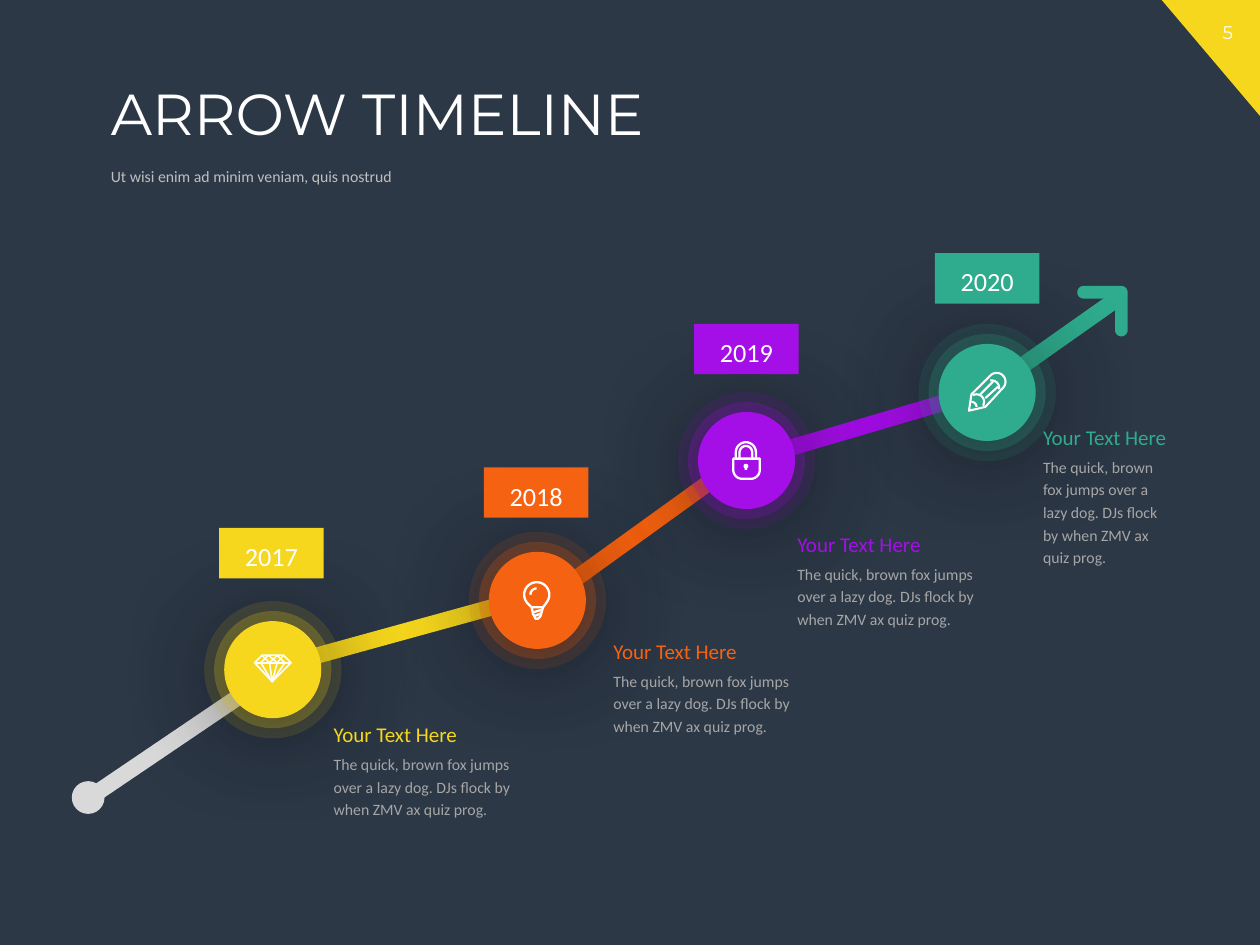
"""Build the arrow timeline slide."""
from math import cos, radians, sin

from lxml import etree
from pptx import Presentation
from pptx.dml.color import RGBColor
from pptx.enum import shapes, text
from pptx.oxml.ns import qn
from pptx.util import Inches, Pt

COLORS = {"bg": "2D3847", "yellow": "F6D71E", "orange": "F56211", "purple": "A40FE7",
          "green": "2FAB8D", "light": "D9D9D9", "white": "FFFFFF",
          "subtitle": "BFBFBF", "body": "A6A6A6", "shadow": "000000"}
SHAPE = shapes.MSO_SHAPE


def write(tf, words, size, color, font="Calibri", align="LEFT", spacing=1.2, anchor="TOP"):
    tf.word_wrap = True
    tf.auto_size = text.MSO_AUTO_SIZE.NONE
    tf.vertical_anchor = getattr(text.MSO_ANCHOR, anchor)
    p = tf.paragraphs[0]
    p.alignment = getattr(text.PP_ALIGN, align)
    p.line_spacing = spacing
    p.space_before = Pt(0)
    r = p.add_run()
    r.text = words
    r.font.name = font
    r.font.size = Pt(size)
    r.font.color.rgb = RGBColor.from_string(COLORS[color])


def paint(sp, color, alpha=None, blur=None):
    sp.shadow.inherit = False
    sp.fill.solid()
    sp.fill.fore_color.rgb = RGBColor.from_string(COLORS[color])
    sp.line.fill.background()
    props = sp._element.spPr
    if alpha:
        tint = props.find(qn("a:solidFill"))[0]
        etree.SubElement(tint, qn("a:alpha"), val=str(alpha * 1000))
    if blur:
        shade = etree.SubElement(props.find(qn("a:effectLst")), qn("a:outerShdw"),
                                 blurRad=str(Pt(blur)), dist=str(Pt(4)), dir="5400000",
                                 algn="t", rotWithShape="0")
        tint = etree.SubElement(shade, qn("a:srgbClr"), val=COLORS["shadow"])
        etree.SubElement(tint, qn("a:alpha"), val="43000")


prs = Presentation()
prs.slide_width, prs.slide_height = Inches(10), Inches(7.5)
s = prs.slides.add_slide(prs.slide_layouts[0])
s.background.fill.solid()
s.background.fill.fore_color.rgb = RGBColor.from_string(COLORS["bg"])

sp = s.shapes.add_shape(SHAPE.RIGHT_TRIANGLE, Inches(9.22), 0, Inches(0.78), Inches(0.92))
sp.rotation = 180
paint(sp, "yellow")
sp = s.shapes.add_textbox(Inches(9.49), Inches(0.12), Inches(0.51), Inches(0.28))
write(sp.text_frame, "5", 10.5, "white", font="Montserrat", align="CENTER", spacing=1)

title, subtitle = s.placeholders
title.left, title.top, title.width, title.height = map(Inches, (0.78, 0.63, 8.86, 0.73))
write(title.text_frame, "ARROW TIMELINE", 33, "white", font="Montserrat", spacing=0.9)
subtitle.left, subtitle.top, subtitle.width, subtitle.height = map(
    Inches, (0.78, 1.28, 7.21, 0.26))
write(subtitle.text_frame, "Ut wisi enim ad minim veniam, quis nostrud", 9, "subtitle",
      spacing=0.9, anchor="MIDDLE")

segments = [
    (5.82, 3.37, 1.72, 343.6, "purple"),
    (4.22, 4.16, 1.72, 324.2, "orange"),
    (2.34, 4.95, 1.72, 344.6, "yellow"),
    (0.6, 5.76, 1.72, 325.9, "light"),
    (7.56, 2.71, 1.47, 324.8, "green"),
]
for left, top, width, angle, color in segments:
    sp = s.shapes.add_shape(SHAPE.RECTANGLE, Inches(left), Inches(top),
                            Inches(width), Inches(0.13))
    sp.rotation = angle
    paint(sp, color)
sp = s.shapes.add_shape(SHAPE.OVAL, Inches(0.57), Inches(6.2), Inches(0.26), Inches(0.26))
paint(sp, "light")

milestones = [
    ("2020", "green", (7.29, 2.57), (7.42, 2.01), (8.18, 3.28), (1.24, 1.24), 1.01),
    ("2018", "orange", (3.72, 4.22), (3.84, 3.71), (4.77, 4.98), (1.59, 1.74), 0.65),
    ("2017", "yellow", (1.62, 4.77), (1.74, 4.19), (2.55, 5.64), (1.59, 1.74), 0.65),
    ("2019", "purple", (5.38, 3.11), (5.51, 2.57), (6.23, 4.13), (1.59, 1.74), 0.65),
]
for year, color, (x, y), tag, (left, top), widths, height in milestones:
    group = s.shapes.add_group_shape()
    for inset, alpha, blur in [(0, 13, 49), (0.08, 25, 49), (0.16, None, 64)]:
        size = Inches(1.09 - 2 * inset)
        sp = group.shapes.add_shape(SHAPE.OVAL, Inches(x + inset), Inches(y + inset), size, size)
        paint(sp, color, alpha, blur)
    sp = s.shapes.add_textbox(Inches(left), Inches(top), Inches(widths[0]), Inches(0.33))
    write(sp.text_frame, "Your Text Here", 12, color)
    sp = s.shapes.add_textbox(Inches(left), Inches(top + 0.27), Inches(widths[1]), Inches(height))
    write(sp.text_frame, "The quick, brown fox jumps over a lazy dog. "
          "DJs flock by when ZMV ax quiz prog.", 9, "body")
    sp = s.shapes.add_shape(SHAPE.RECTANGLE, *map(Inches, (*tag, 0.83, 0.4)))
    paint(sp, color)
    write(sp.text_frame, year, 15, "white", align="CENTER")

arrowhead = [[(8.6, 2.32, 0.05, 90, 270), (8.9, 2.32, 0.05, 270, 360),
              (8.9, 2.62, 0.05, 0, 180), (8.85, 2.37), (8.6, 2.37)]]
pencil = [
    [(7.69, 3.26), (7.71, 3.13), (7.91, 3.03, 0.07, 225, 405), (7.82, 3.23), (7.69, 3.26)],
    [(7.87, 3.08, 0.06, -100, 10)],
    [(7.75, 3.19, 0.06, -120, 30)],
    [(7.71, 3.23, 0.04, -90, 0)],
    [(7.78, 3.13), (7.88, 3.03)],
    [(7.82, 3.16), (7.92, 3.07)],
]
bulb = [
    [(4.22, 4.82), (4.26, 4.72, 0.1, 140, 400), (4.31, 4.82), (4.29, 4.89),
     (4.27, 4.91), (4.25, 4.91), (4.23, 4.87), (4.22, 4.82), (4.31, 4.82)],
    [(4.23, 4.86), (4.3, 4.84)],
    [(4.24, 4.89), (4.29, 4.87)],
    [(4.26, 4.72, 0.05, 180, 270)],
]
lock = [
    [(5.82, 3.64), (6.03, 3.64), (5.96, 3.73, 0.07, 0, 90),
     (5.89, 3.73, 0.07, 90, 180), (5.82, 3.64)],
    [(5.84, 3.64), (5.92, 3.59, 0.08, 180, 360), (6, 3.64)],
    [(5.87, 3.64), (5.92, 3.59, 0.05, 180, 360), (5.97, 3.64)],
    [(5.92, 3.7, 0.01, 90, 450), (5.92, 3.73)],
]
diamond = [
    [(2.08, 5.2), (2.25, 5.2), (2.31, 5.26), (2.16, 5.41), (2.02, 5.26), (2.08, 5.2)],
    [(2.02, 5.26), (2.31, 5.26)],
    [(2.08, 5.2), (2.14, 5.26), (2.2, 5.2), (2.26, 5.26)],
    [(2.07, 5.26), (2.13, 5.2), (2.2, 5.26), (2.25, 5.2)],
    [(2.07, 5.26), (2.16, 5.41), (2.26, 5.26)],
    [(2.14, 5.26), (2.16, 5.41), (2.2, 5.26)],
]
outlines = [(arrowhead, None), (pencil, 1.2), (bulb, 1.3), (lock, 1.3), (diamond, 0.9)]
for contours, stroke in outlines:
    builder = None
    for contour in contours:
        points = []
        for piece in contour:
            if len(piece) == 2:
                points.append(piece)
            else:
                cx, cy, radius, start, end = piece
                turns = [radians(start + (end - start) * i / 16) for i in range(17)]
                points += [(cx + radius * cos(a), cy + radius * sin(a)) for a in turns]
        points = [(Inches(px), Inches(py)) for px, py in points]
        if builder is None:
            builder = s.shapes.build_freeform(*points[0])
        else:
            builder.move_to(*points[0])
        builder.add_line_segments(points[1:], close=stroke is None)
    sp = builder.convert_to_shape()
    paint(sp, "green")
    if stroke:
        sp.fill.background()
        sp.line.color.rgb = RGBColor.from_string(COLORS["white"])
        sp.line.width = Pt(stroke)

prs.save("out.pptx")
